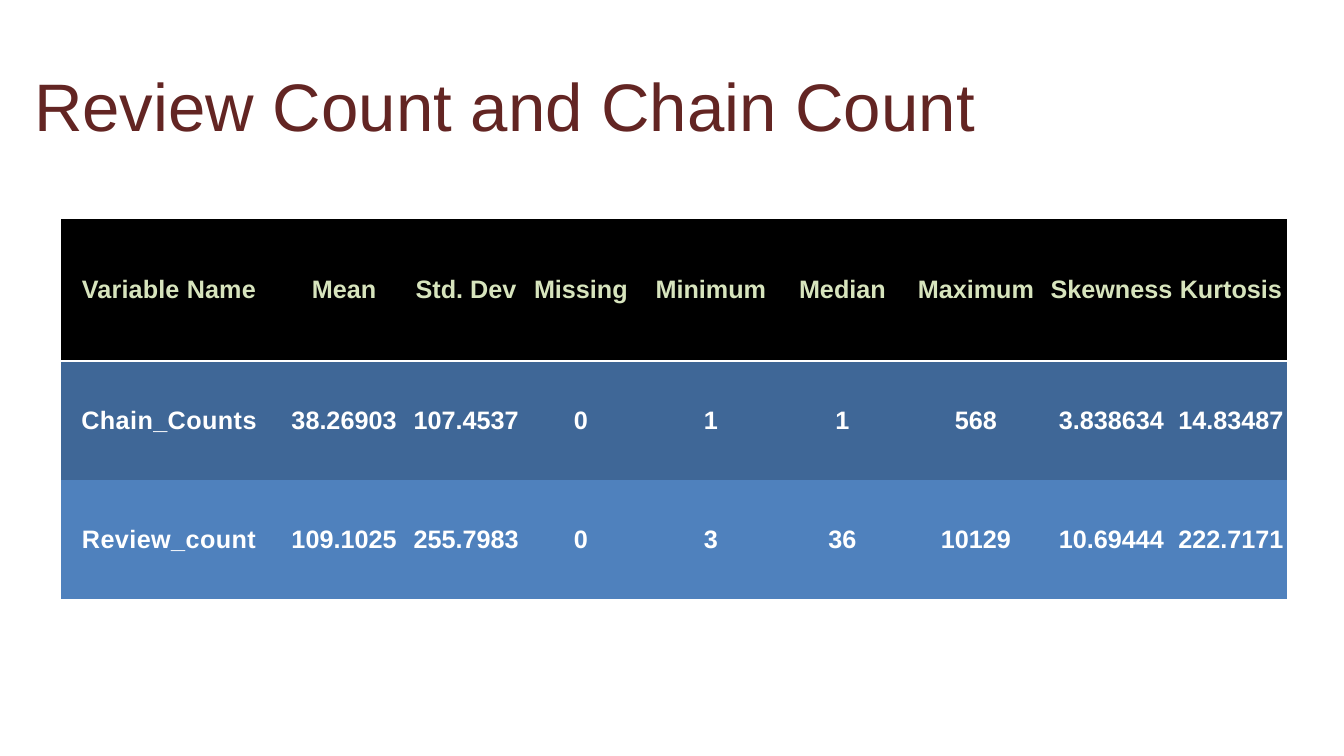
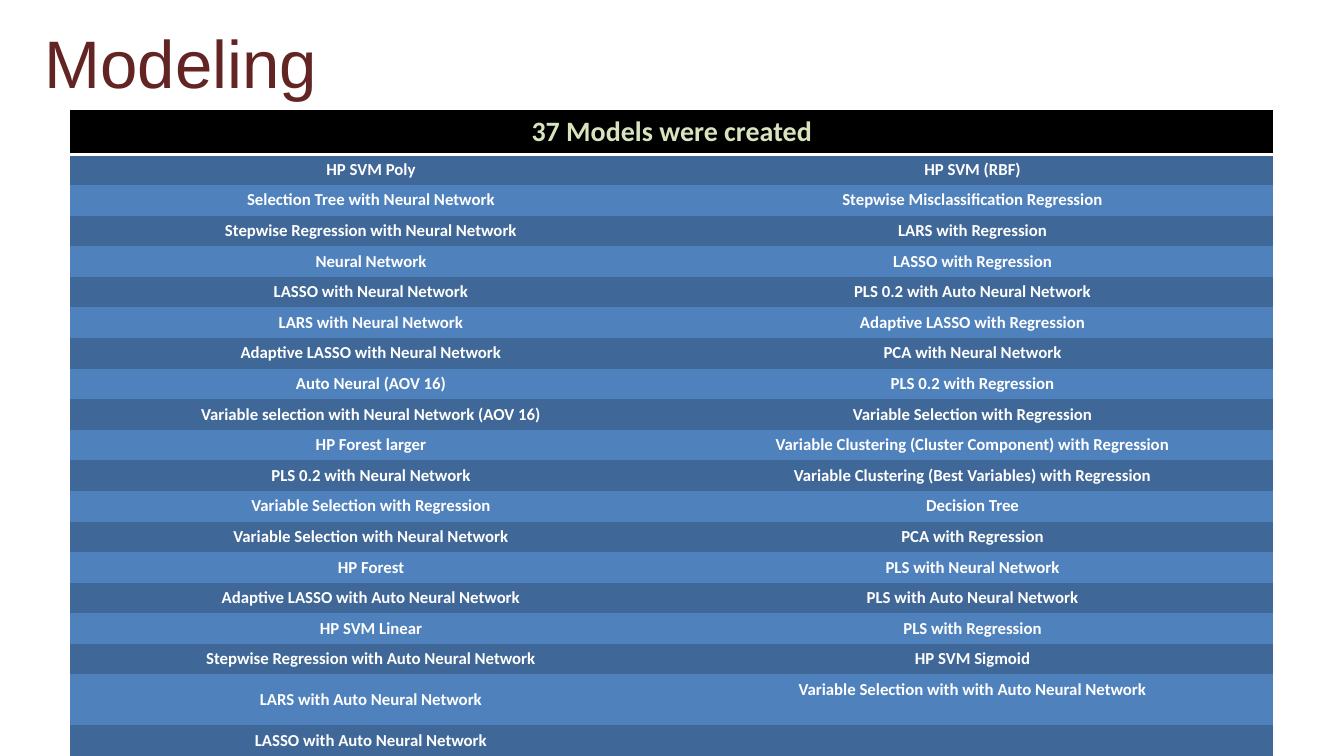
from lxml import etree
from pptx import Presentation
from pptx.dml.color import RGBColor
from pptx.enum import text
from pptx.oxml.ns import qn
from pptx.util import Cm, Pt

COLORS = {
    "title": "632523",
    "header": "000000",
    "header_text": "D7E4BD",
    "dark_row": "3F6797",
    "light_row": "4F81BD",
    "white": "FFFFFF",
}
PLAIN_TABLE = "{2D5ABB26-0587-4C30-8999-92F81FD0307C}"

STATISTICS = [
    ("Variable Name", "Mean", "Std. Dev", "Missing", "Minimum", "Median",
     "Maximum", "Skewness", "Kurtosis"),
    ("Chain_Counts", "38.26903", "107.4537", "0", "1", "1", "568",
     "3.838634", "14.83487"),
    ("Review_count", "109.1025", "255.7983", "0", "3", "36", "10129",
     "10.69444", "222.7171"),
]
STATISTIC_WIDTHS = [5.44, 3.38, 2.77, 3.02, 3.53, 3.1, 3.63, 3.2, 2.82]

MODELS = [
    ("37 Models were created", ""),
    ("HP SVM Poly", "HP SVM (RBF)"),
    ("Selection Tree with Neural Network", "Stepwise Misclassification Regression"),
    ("Stepwise Regression with Neural Network", "LARS with Regression"),
    ("Neural Network", "LASSO with Regression"),
    ("LASSO with Neural Network", "PLS 0.2 with Auto Neural Network"),
    ("LARS with Neural Network", "Adaptive LASSO with Regression"),
    ("Adaptive LASSO with Neural Network", "PCA with Neural Network"),
    ("Auto Neural (AOV 16)", "PLS 0.2 with Regression"),
    ("Variable selection with Neural Network (AOV 16)",
     "Variable Selection with Regression"),
    ("HP Forest larger",
     "Variable Clustering (Cluster Component) with Regression"),
    ("PLS 0.2 with Neural Network",
     "Variable Clustering (Best Variables) with Regression"),
    ("Variable Selection with Regression", "Decision Tree"),
    ("Variable Selection with Neural Network", "PCA with Regression"),
    ("HP Forest", "PLS with Neural Network"),
    ("Adaptive LASSO with Auto Neural Network", "PLS with Auto Neural Network"),
    ("HP SVM Linear", "PLS with Regression"),
    ("Stepwise Regression with Auto Neural Network", "HP SVM Sigmoid"),
    ("LARS with Auto Neural Network",
     "Variable Selection with with Auto Neural Network"),
    ("LASSO with Auto Neural Network", ""),
]
MODEL_HEIGHTS = [1.1] + [0.76] * 17 + [1.28, 0.76]


def rgb(name):
    return RGBColor.from_string(COLORS[name])


def style_font(paragraph, face, size, color, bold=False):
    font = paragraph.font
    font.name = face
    font.size = Pt(size)
    font.bold = bold
    font.color.rgb = rgb(color)


def add_titled_slide(deck, wording, left, top):
    slide = deck.slides.add_slide(deck.slide_layouts[5])
    title = slide.shapes.title
    title.left, title.top = Cm(left), Cm(top)
    title.width, title.height = Cm(28.19), Cm(2.11)
    frame = title.text_frame
    frame.text = wording
    frame.margin_left = frame.margin_right = 0
    frame.margin_top = frame.margin_bottom = 0
    frame.vertical_anchor = text.MSO_ANCHOR.MIDDLE
    frame.auto_size = text.MSO_AUTO_SIZE.NONE
    heading = frame.paragraphs[0]
    heading.alignment = text.PP_ALIGN.LEFT
    style_font(heading, "Arial", 48, "title")
    return slide


def underline_header(cell):
    line = etree.Element(qn("a:lnB"), w=str(Pt(2)))
    fill = etree.SubElement(line, qn("a:solidFill"))
    etree.SubElement(fill, qn("a:srgbClr"), val=COLORS["white"])
    cell._tc.get_or_add_tcPr().insert(0, line)


def fill_cell(cell, wording, row, face, size):
    fill = "header" if row == 0 else ("light_row", "dark_row")[row % 2]
    cell.fill.solid()
    cell.fill.fore_color.rgb = rgb(fill)
    cell.vertical_anchor = text.MSO_ANCHOR.MIDDLE
    cell.text = wording
    paragraph = cell.text_frame.paragraphs[0]
    paragraph.alignment = text.PP_ALIGN.CENTER
    style_font(paragraph, face, size, "white" if row else "header_text", True)
    if not wording:
        etree.SubElement(paragraph._p, qn("a:endParaRPr"), sz=str(size * 100))
    if row == 0:
        underline_header(cell)


def add_grid(slide, rows, left, top, widths, heights, face, sizes):
    table = slide.shapes.add_table(
        len(rows), len(widths), Cm(left), Cm(top),
        Cm(sum(widths)), Cm(sum(heights))).table
    table.first_row = table.horz_banding = False
    table._tbl.tblPr.find(qn("a:tableStyleId")).text = PLAIN_TABLE
    for column, width in zip(table.columns, widths):
        column.width = Cm(width)
    for row, (words, height) in enumerate(zip(rows, heights)):
        table.rows[row].height = Cm(height)
        for column, wording in enumerate(words):
            fill_cell(table.cell(row, column), wording, row, face,
                      sizes[min(row, 1)])
    return table


def add_statistics(deck):
    slide = add_titled_slide(deck, "Review Count and Chain Count", 0.86, 1.57)
    table = add_grid(slide, STATISTICS, 1.54, 5.53, STATISTIC_WIDTHS,
                     [3.56, 3, 3], "Arial", (18, 18))
    for cell in table.iter_cells():
        cell.margin_left = cell.margin_right = 0
        cell.margin_top = cell.margin_bottom = 0
        cell.text_frame.paragraphs[0].space_after = Pt(8)
    for row, spacing in enumerate((10, 30, 30)):
        label = table.cell(row, 0).text_frame.paragraphs[0].runs[0]
        label._r.get_or_add_rPr().set("spc", str(spacing))


def add_models(deck):
    slide = add_titled_slide(deck, "Modeling", 1.12, 0.51)
    table = add_grid(slide, MODELS, 1.77, 2.77, [15.16, 15.16],
                     MODEL_HEIGHTS, "Calibri", (20, 12))
    table.cell(0, 0).merge(table.cell(0, 1))
    table.cell(18, 1).vertical_anchor = text.MSO_ANCHOR.TOP


def main():
    deck = Presentation()
    deck.slide_width, deck.slide_height = Cm(33.87), Cm(19.05)
    add_statistics(deck)
    add_models(deck)
    deck.save("out.pptx")


if __name__ == "__main__":
    main()
